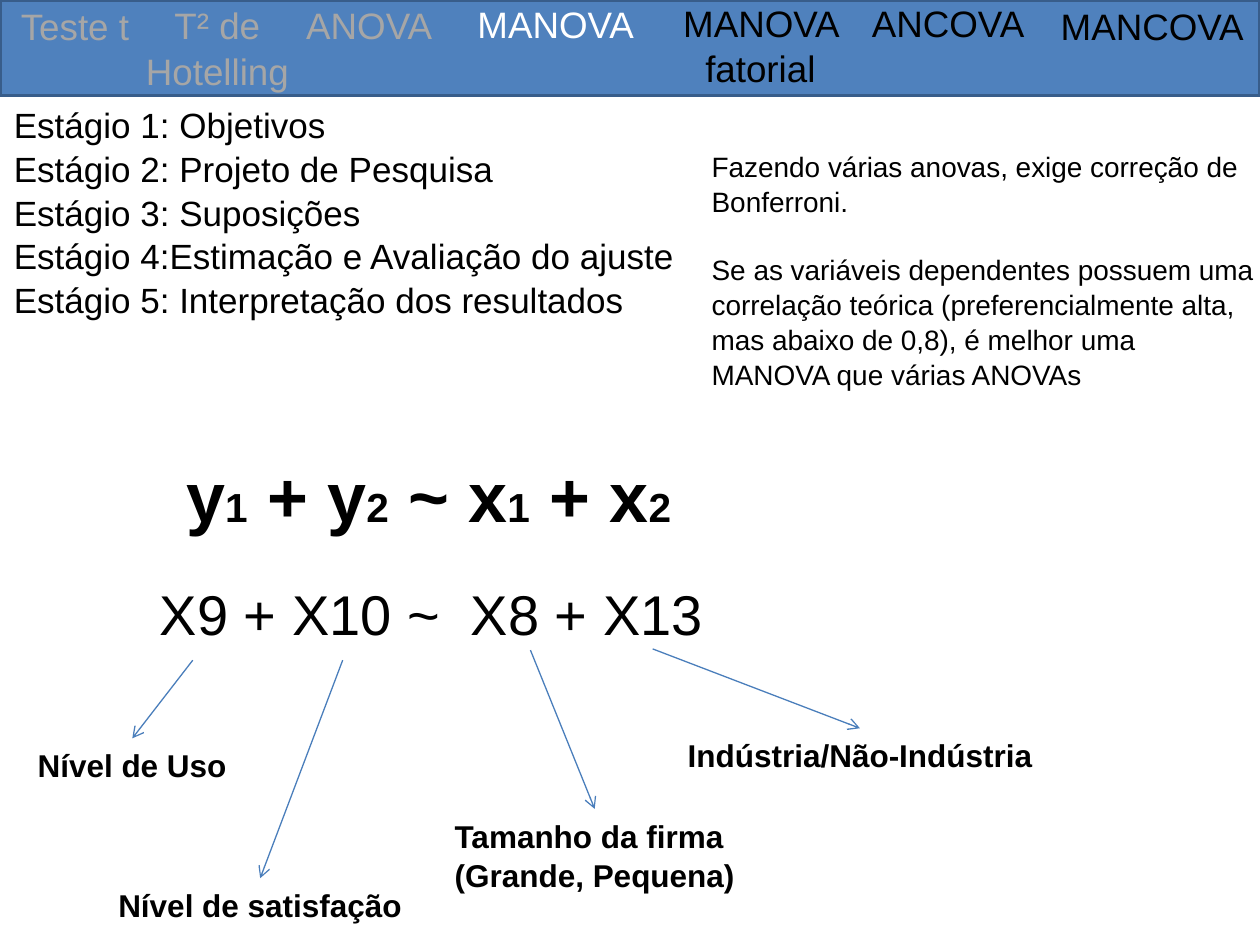
from pptx import Presentation
from pptx.dml.color import RGBColor
from pptx.enum.shapes import MSO_CONNECTOR, MSO_SHAPE
from pptx.enum.text import MSO_ANCHOR, MSO_AUTO_SIZE, PP_ALIGN
from pptx.oxml.ns import qn
from pptx.util import Inches, Pt
from lxml import etree

RECTANGLE = MSO_SHAPE.RECTANGLE
STRAIGHT = MSO_CONNECTOR.STRAIGHT
TOP = MSO_ANCHOR.TOP
NO_RESIZE = MSO_AUTO_SIZE.NONE
LEFT, CENTER = PP_ALIGN.LEFT, PP_ALIGN.CENTER
TOP_SIDE = 0
FONT = "Arial"
LINE_SPACING = 1.04
COLORS = {
    "band": "4F81BD",
    "band_line": "385D8A",
    "arrow": "4A7EBB",
    "past": "A6A6A6",
    "current": "FFFFFF",
    "text": "000000",
}


def color(name):
    return RGBColor.from_string(COLORS[name])


def place(shape, box):
    shape.left, shape.top, shape.width, shape.height = (Inches(v) for v in box)


def write(shape, paragraphs, size, ink="text", bold=False, align=LEFT, wrap=False, gap=0):
    frame = shape.text_frame
    frame.word_wrap = wrap
    frame.auto_size = NO_RESIZE
    frame.vertical_anchor = TOP
    for index, runs in enumerate(paragraphs):
        paragraph = frame.paragraphs[0] if index == 0 else frame.add_paragraph()
        paragraph.alignment = align
        paragraph.line_spacing = LINE_SPACING
        paragraph.space_before = Pt(gap if index else 0)
        for text, baseline in runs:
            run = paragraph.add_run()
            run.text = text
            run.font.name = FONT
            run.font.size = Pt(size)
            run.font.bold = bold
            run.font.color.rgb = color(ink)
            if baseline:
                run._r.get_or_add_rPr().set("baseline", str(baseline))


def plain(*lines):
    return [[(line, 0)] for line in lines]


def add_text(slide, box, paragraphs, size, **style):
    shape = slide.shapes.add_textbox(*(Inches(v) for v in box))
    write(shape, paragraphs, size, **style)
    return shape


def add_navigation(slide, box):
    left, top, width, height = box
    title = slide.shapes.title
    band = slide.shapes.add_shape(RECTANGLE, *(Inches(v) for v in box))
    band.shadow.inherit = False
    band.fill.solid()
    band.fill.fore_color.rgb = color("band")
    band.line.color.rgb = color("band_line")
    band.line.width = Pt(2)
    title.element.addprevious(band.element)

    place(title, (left + 3.64, top - 0.05, 1.54, 0.45))
    write(title, plain("MANOVA"), 21, ink="current", align=CENTER)
    tabs = [
        ("Teste t", 0.05, -0.03, 1.09, "past", False),
        ("T² de Hotelling", 0.74, -0.04, 1.97, "past", True),
        ("ANOVA", 2.32, -0.04, 1.22, "past", False),
        ("MANOVA fatorial", 5.01, -0.06, 2.05, "text", True),
        ("ANCOVA", 6.81, -0.06, 1.43, "text", False),
        ("MANCOVA", 8.31, -0.03, 1.67, "text", False),
    ]
    for name, x, y, tab_width, ink, wrap in tabs:
        tab_box = (left + x, top + y, tab_width, 0.8 if wrap else 0.45)
        add_text(slide, tab_box, plain(name), 21, ink=ink, align=CENTER, wrap=wrap)


def add_stages(slide, box):
    body = slide.placeholders[1]
    place(body, box)
    stages = plain(
        "Estágio 1: Objetivos",
        "Estágio 2: Projeto de Pesquisa",
        "Estágio 3: Suposições",
        "Estágio 4:Estimação e Avaliação do ajuste",
        "Estágio 5: Interpretação dos resultados",
    )
    write(body, stages, 20)
    for paragraph in body.text_frame.paragraphs:
        properties = paragraph._p.get_or_add_pPr()
        properties.set("marL", "0")
        properties.set("indent", "0")
        etree.SubElement(properties, qn("a:buNone"))


def add_remarks(slide, box):
    remarks = plain(
        "Fazendo várias anovas, exige correção de Bonferroni.",
        "Se as variáveis dependentes possuem uma correlação teórica (preferencialmente alta, "
        "mas abaixo de 0,8), é melhor uma MANOVA que várias ANOVAs",
    )
    add_text(slide, box, remarks, 16, wrap=True, gap=19)


def add_arrow(slide, start, label):
    x, y = (Inches(v) for v in start)
    arrow = slide.shapes.add_connector(STRAIGHT, x, y, x, y)
    arrow.end_connect(label, TOP_SIDE)
    arrow.line.color.rgb = color("arrow")
    arrow.line.width = Pt(0.75)
    etree.SubElement(arrow.line._get_or_add_ln(), qn("a:tailEnd"), type="arrow")
    etree.SubElement(arrow._element.spPr, qn("a:effectLst"))


def add_model(slide, box):
    left, top, width, height = box
    general = []
    for term, number in (("y", "1"), (" + y", "2"), (" ~ x", "1"), (" + x", "2")):
        general += [(term, 0), (number, -25)]
    add_text(slide, (left + 1.18, top, 4.05, 0.86), [general], 40, bold=True)
    add_text(slide, (left + 0.97, top + 1.01, 4.51, 0.64), plain("X9 + X10 ~  X8 + X13"), 32)

    variables = [
        (("Nível de Uso",), (0, 2.34, 1.7, 0.4), (1.33, 1.72)),
        (("Nível de satisfação",), (0.64, 3.45, 2.45, 0.4), (2.52, 1.72)),
        (("Tamanho da firma", "(Grande, Pequena)"), (3.31, 2.9, 2.42, 0.7), (4.01, 1.64)),
        (("Indústria/Não-Indústria",), (5.16, 2.26, 2.93, 0.4), (4.98, 1.63)),
    ]
    for lines, (x, y, label_width, label_height), (start_x, start_y) in variables:
        label_box = (left + x, top + y, label_width, label_height)
        label = add_text(slide, label_box, plain(*lines), 18, bold=True)
        add_arrow(slide, (left + start_x, top + start_y), label)


def main():
    presentation = Presentation()
    presentation.slide_width = Inches(10)
    presentation.slide_height = Inches(7.5)
    slide = presentation.slides.add_slide(presentation.slide_layouts[1])
    add_navigation(slide, (0, 0, 10, 0.76))
    add_stages(slide, (0.01, 0.76, 5.46, 1.77))
    add_remarks(slide, (5.55, 1.13, 4.5, 1.97))
    add_model(slide, (0.2, 3.52, 8.09, 3.85))
    presentation.save("out.pptx")


if __name__ == "__main__":
    main()
